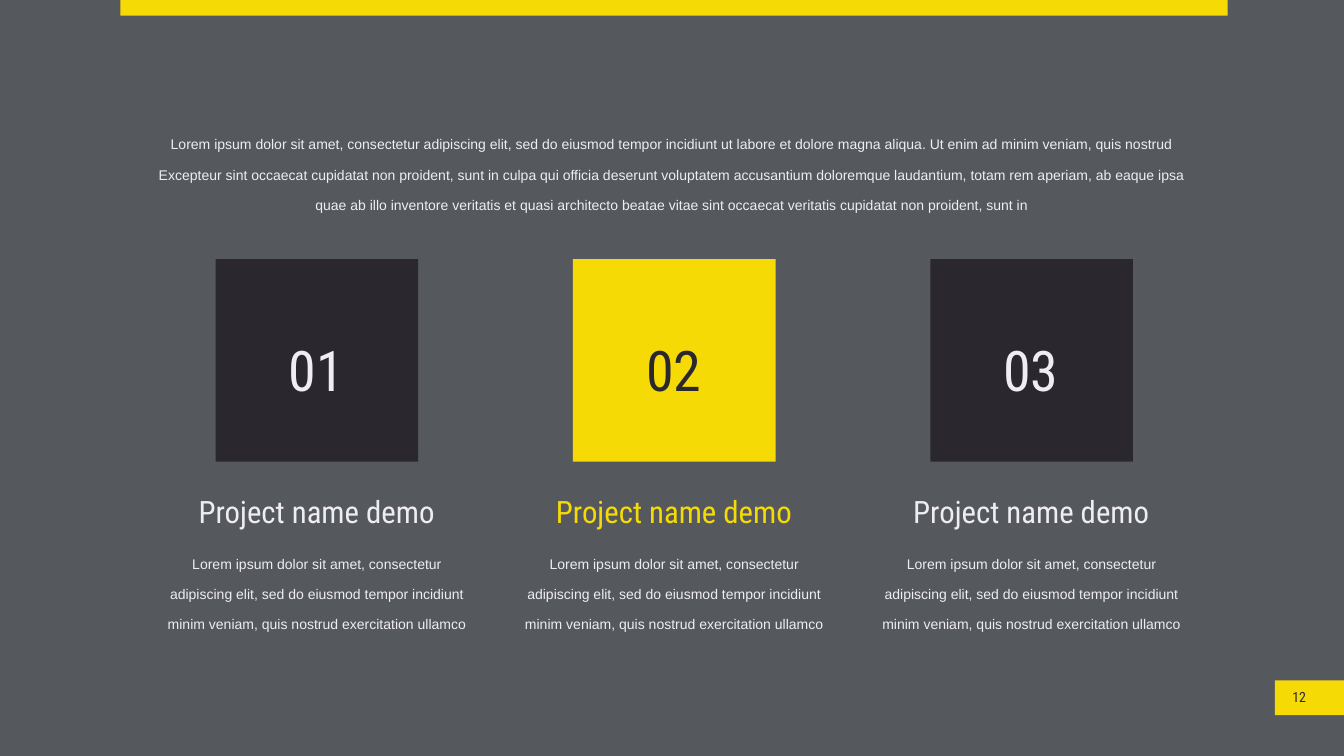
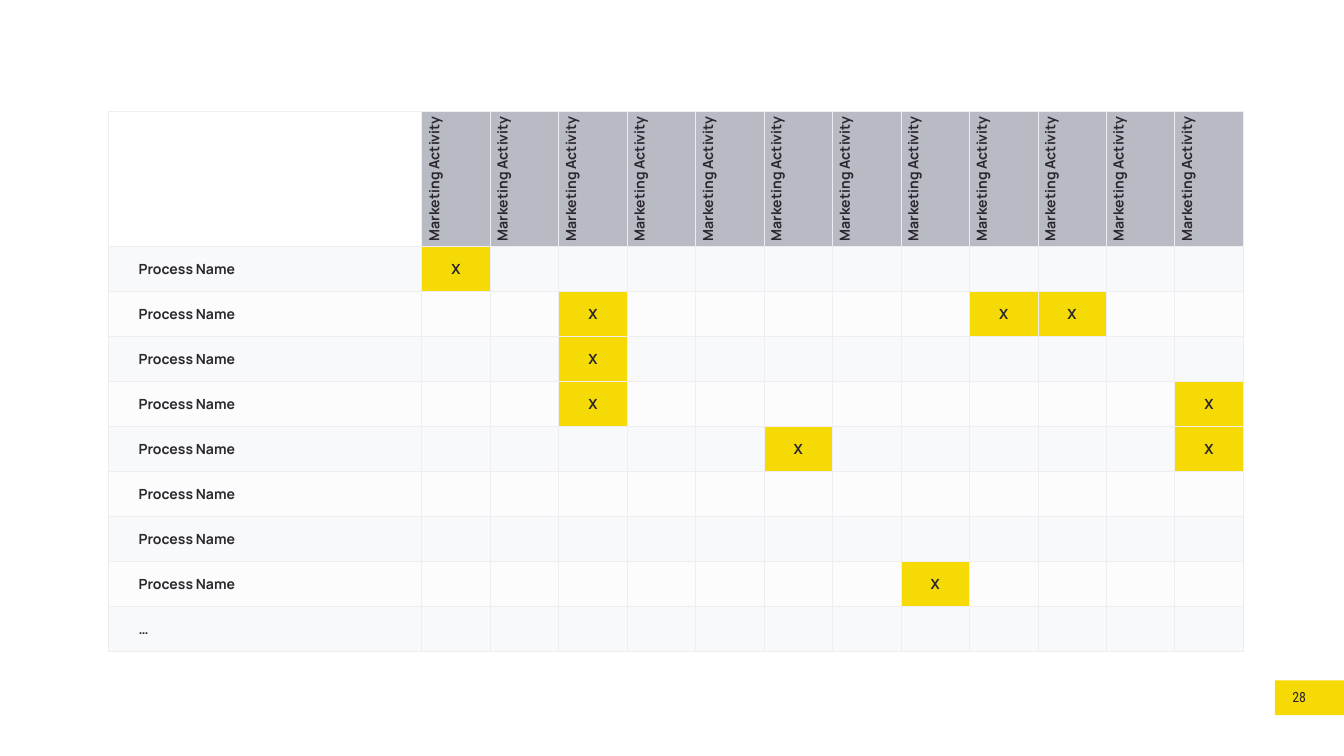
from lxml import etree
from pptx import Presentation
from pptx.dml.color import RGBColor
from pptx.enum.shapes import MSO_SHAPE
from pptx.enum.text import MSO_ANCHOR, PP_ALIGN
from pptx.oxml.ns import qn
from pptx.util import Inches, Pt

RECT = MSO_SHAPE.RECTANGLE
MIDDLE = MSO_ANCHOR.MIDDLE
LEFT, CENTER, RIGHT = PP_ALIGN.LEFT, PP_ALIGN.CENTER, PP_ALIGN.RIGHT

YELLOW, DARK, LIGHT = "F5DA06", "2A272E", "EFEDF1"
SLATE, WHITE, GREY = "55595E", "FFFFFF", "B8BAC4"
CORNER = "FEFFFE"
BANDS = ("F8F9FA", "FCFCFC")
HEAD, BODY, GRID = "Roboto Condensed", "Arial", "Manrope"
TIGHT, LOOSE = 0.04, 0.1

INTRO = (
    "Lorem ipsum dolor sit amet, consectetur adipiscing elit, sed do eiusmod "
    "tempor incidiunt ut labore et dolore magna aliqua. Ut enim ad minim veniam, "
    "quis nostrud Excepteur sint occaecat cupidatat non proident, sunt in culpa "
    "qui officia deserunt voluptatem accusantium doloremque laudantium, totam rem "
    "aperiam, ab eaque ipsa quae ab illo inventore veritatis et quasi architecto "
    "beatae vitae sint occaecat veritatis cupidatat non proident, sunt in"
)
BLURB = (
    "Lorem ipsum dolor sit amet, consectetur adipiscing elit, sed do eiusmod "
    "tempor incidiunt minim veniam, quis nostrud exercitation ullamco"
)
# number, box colour, number colour, name colour
CARDS = (
    ("01", DARK, LIGHT, LIGHT),
    ("02", YELLOW, DARK, YELLOW),
    ("03", DARK, LIGHT, LIGHT),
)
CARD_STEP = 7.09

TASKS = ["Process Name"] * 8 + ["…"]
ACTS = ["Marketing Activity"] * 12
# activity columns marked in each process row
MARKS = {1: (1,), 2: (3, 9, 10), 3: (3,), 4: (3, 12), 5: (6, 12), 8: (8,)}


def rgb(code):
    """Turn a hex string into a colour."""
    return RGBColor.from_string(code)


def paint(fill, code):
    """Make a fill solid in one colour."""
    fill.solid()
    fill.fore_color.rgb = rgb(code)


def style(para, font, size, code, align, bold=False):
    """Set the font and alignment of a paragraph."""
    para.alignment = align
    para.font.name = font
    para.font.size = Pt(size)
    para.font.color.rgb = rgb(code)
    para.font.bold = bold


def add_rect(shapes, left, top, width, height, code):
    """Add a plain filled rectangle."""
    rect = shapes.add_shape(
        RECT, Inches(left), Inches(top), Inches(width), Inches(height))
    rect.shadow.inherit = False
    paint(rect.fill, code)
    rect.line.fill.background()


def add_text(shapes, at, text, font, size, code, align=CENTER, lead=1.0, pad=TIGHT):
    """Add a wrapped text box of one paragraph."""
    box = shapes.add_textbox(*[Inches(n) for n in at])
    frame = box.text_frame
    frame.word_wrap = True
    frame.margin_left = frame.margin_right = Inches(pad)
    frame.margin_top = frame.margin_bottom = Inches(min(pad, 0.05))
    para = frame.paragraphs[0]
    para.text = text
    para.line_spacing = lead
    style(para, font, size, code, align)


def add_slide(deck, back, page):
    """Add a slide with its background and page number tab."""
    slide = deck.slides.add_slide(deck.slide_layouts[6])
    paint(slide.background.fill, back)
    add_rect(slide.shapes, 25.3, 13.5, 1.37, 0.69, YELLOW)
    add_text(slide.shapes, (25.3, 13.63, 0.66, 0.42), page, HEAD, 20, DARK, RIGHT)
    return slide


def add_card(slide, left, card):
    """Add one project: name, numbered box and blurb, as a group."""
    label, fill, ink, tint = card
    shapes = slide.shapes.add_group_shape().shapes
    add_text(shapes, (left, 9.59, 6.85, 1.1), "Project name demo",
             HEAD, 44, tint, lead=1.2)
    add_rect(shapes, left + 1.42, 5.14, 4.02, 4.02, fill)
    add_text(shapes, (left + 2.24, 6.36, 2.36, 1.57), label,
             HEAD, 80, ink, lead=1.2)
    add_text(shapes, (left + 0.36, 10.7, 6.14, 1.83), BLURB,
             BODY, 20, LIGHT, lead=1.8, pad=LOOSE)


def add_edges(cell, top, bottom):
    """Draw the four borders of a cell, widths in points."""
    props = cell._tc.get_or_add_tcPr()
    for side, width in (("L", 1), ("R", 1), ("T", top), ("B", bottom)):
        line = etree.SubElement(props, qn("a:ln" + side), w=str(Pt(width)))
        solid = etree.SubElement(line, qn("a:solidFill"))
        etree.SubElement(solid, qn("a:srgbClr"), val=LIGHT)


def fill_cell(cell, text, code, align=CENTER, top=1, bottom=1):
    """Set the borders, fill and text of a cell."""
    add_edges(cell, top, bottom)
    paint(cell.fill, code)
    cell.vertical_anchor = MIDDLE
    para = cell.text_frame.paragraphs[0]
    if text:
        para.text = text
    style(para, GRID, 20, DARK, align, bold=True)


def add_matrix(slide):
    """Add the table of processes against activities."""
    width, height, first = 22.52, 10.72, 6.22
    unit = height / (len(TASKS) + 3)
    table = slide.shapes.add_table(
        len(TASKS) + 1, len(ACTS) + 1, Inches(2.15), Inches(2.21),
        Inches(width), Inches(height)).table
    table.first_row = table.horz_banding = False
    for col in table.columns:
        col.width = Inches((width - first) / len(ACTS))
    table.columns[0].width = Inches(first)
    for row in table.rows:
        row.height = Inches(unit)
    table.rows[0].height = Inches(3 * unit)

    fill_cell(table.cell(0, 0), "", CORNER, bottom=3)
    for x, act in enumerate(ACTS, 1):
        cell = table.cell(0, x)
        fill_cell(cell, act, GREY, bottom=3)
        cell._tc.get_or_add_tcPr().set("vert", "vert270")
    for y, task in enumerate(TASKS, 1):
        band = BANDS[(y - 1) % 2]
        top = 3 if y == 1 else 1
        name = table.cell(y, 0)
        fill_cell(name, task, band, LEFT, top)
        props = name.text_frame.paragraphs[0]._p.get_or_add_pPr()
        props.set("marL", str(Inches(0.5)))
        props.set("indent", "0")
        for x in range(1, len(ACTS) + 1):
            hit = x in MARKS.get(y, ())
            fill_cell(table.cell(y, x), "X" if hit else "",
                      YELLOW if hit else band, top=top)


def main():
    """Build both slides and save the deck."""
    deck = Presentation()
    deck.slide_width, deck.slide_height = Inches(26.67), Inches(15)

    slide = add_slide(deck, SLATE, "12")
    add_rect(slide.shapes, 2.39, 0, 21.97, 0.31, YELLOW)
    for i, card in enumerate(CARDS):
        add_card(slide, 2.86 + i * CARD_STEP, card)
    add_text(slide.shapes, (3.02, 2.38, 20.63, 1.83), INTRO,
             BODY, 20, LIGHT, lead=1.8, pad=LOOSE)

    add_matrix(add_slide(deck, WHITE, "28"))
    deck.save("out.pptx")


main()
